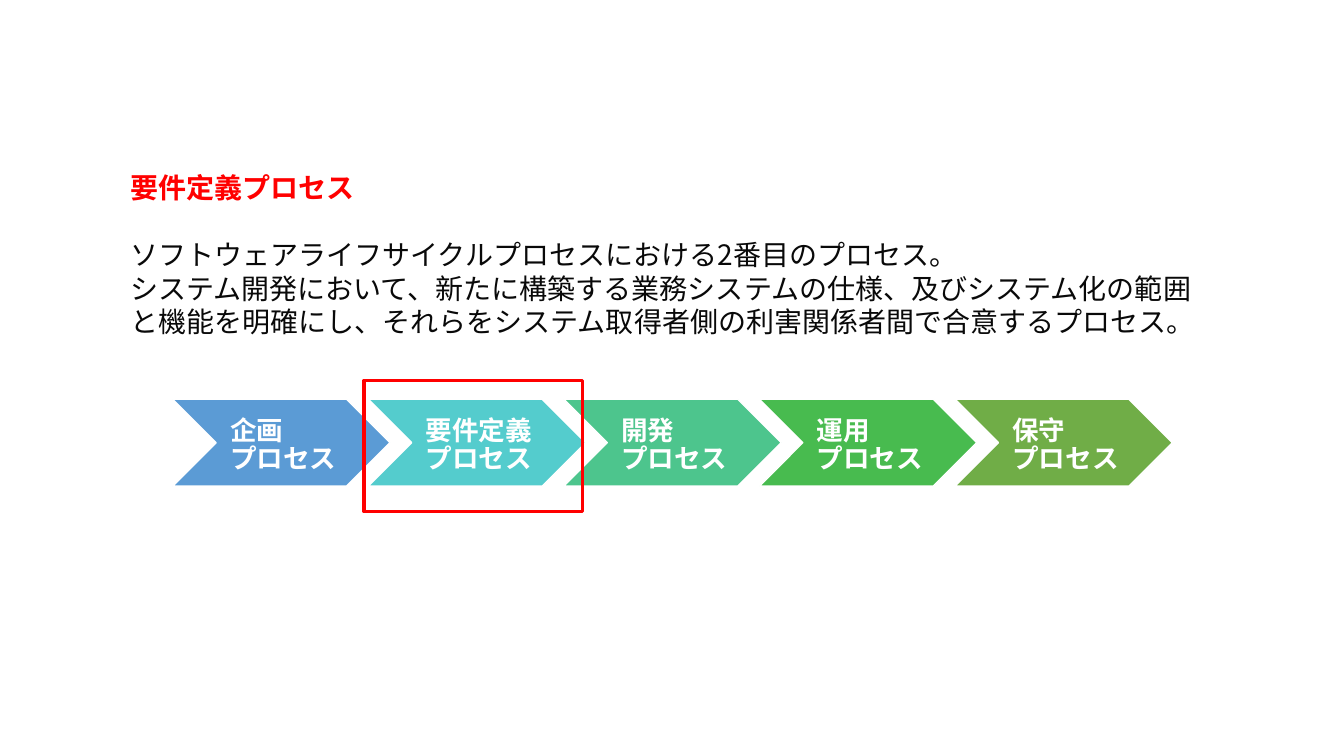
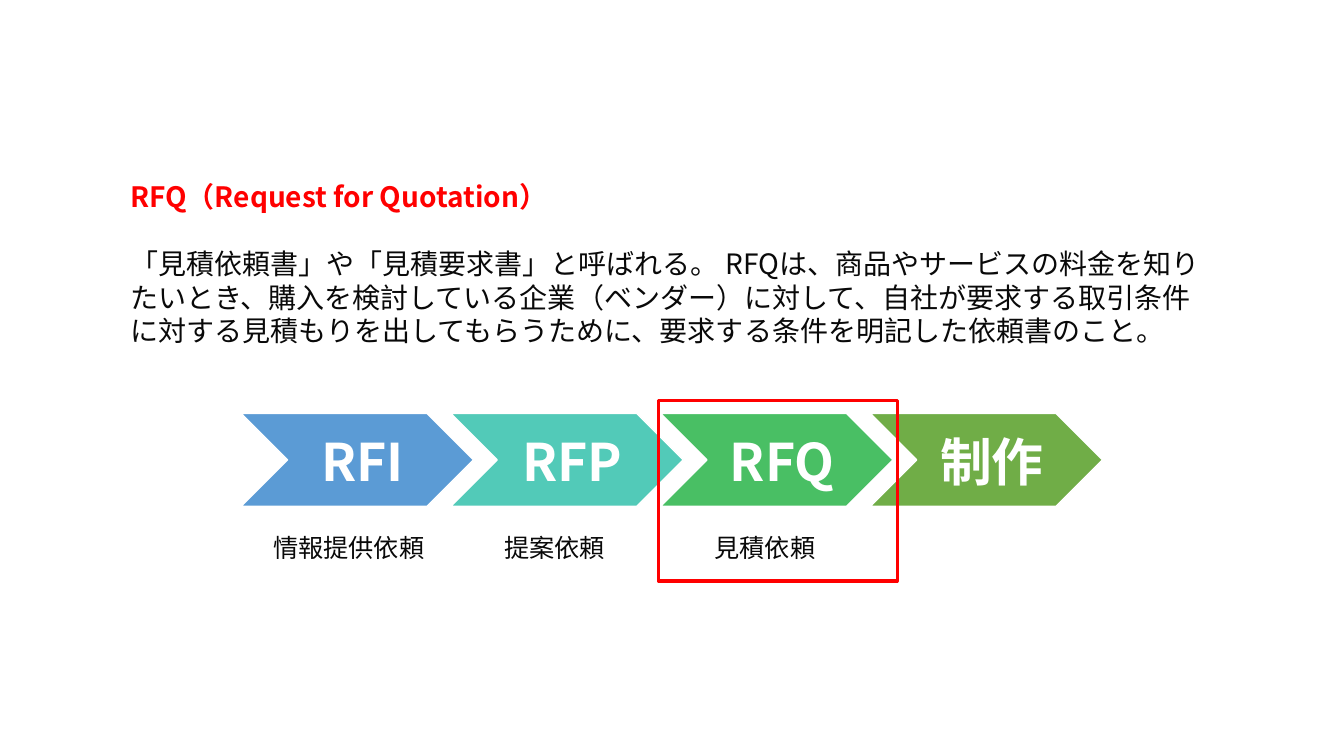
from lxml.etree import SubElement
from pptx import Presentation
from pptx.dml.color import RGBColor
from pptx.enum.shapes import MSO_SHAPE
from pptx.enum.text import MSO_ANCHOR, MSO_AUTO_SIZE, PP_ALIGN
from pptx.oxml.ns import qn
from pptx.util import Pt


def rgb(color):
    return RGBColor.from_string(color)


def write(tf, text, size, color, bold=False, align=PP_ALIGN.LEFT, leading=1.2,
          anchor=MSO_ANCHOR.TOP, insets=(7.2, 3.6, 7.2, 3.6)):
    tf.word_wrap = True
    tf.auto_size = MSO_AUTO_SIZE.NONE
    tf.vertical_anchor = anchor
    tf.margin_left, tf.margin_top, tf.margin_right, tf.margin_bottom = map(Pt, insets)
    for i, line in enumerate(text.split("\n")):
        p = tf.add_paragraph() if i else tf.paragraphs[0]
        pPr = p._p.get_or_add_pPr()
        pPr.set("marL", "0")
        pPr.set("indent", "0")
        SubElement(pPr, qn("a:buNone"))
        p.alignment = align
        p.line_spacing = Pt(size * leading)
        p.space_before = p.space_after = Pt(0)
        r = p.add_run()
        r.text = line
        r.font.size = Pt(size)
        r.font.bold = bold
        r.font.color.rgb = rgb(color)
        r.font.name = Deck.FONT
        SubElement(r._r.get_or_add_rPr(), qn("a:ea")).set("typeface", Deck.FONT)


class Deck:
    FONT = "Noto Sans CJK JP"
    RED, INK, WHITE = "FF0000", "090909", "FFFFFF"
    LEFT, WIDTH = 85.7, 788.4

    def __init__(self):
        self.prs = Presentation()
        self.prs.slide_width, self.prs.slide_height = Pt(960), Pt(540)

    def slide(self, top, title, body):
        self.s = self.prs.slides.add_slide(self.prs.slide_layouts[1])
        heading, content = self.s.placeholders
        self.place(heading, self.LEFT, top, self.WIDTH, 32)
        write(heading.text_frame, title, 20, self.RED, bold=True)
        self.place(content, self.LEFT, top + 48, self.WIDTH, 80)
        write(content.text_frame, body, 20, self.INK)

    def place(self, sp, *box):
        sp.left, sp.top, sp.width, sp.height = map(Pt, box)

    def shape(self, kind, box, line, weight, fill=None):
        sp = self.s.shapes.add_shape(kind, *map(Pt, box))
        sp.shadow.inherit = False
        if fill:
            sp.fill.solid()
            sp.fill.fore_color.rgb = rgb(fill)
        else:
            sp.fill.background()
        sp.line.color.rgb = rgb(line)
        sp.line.width = Pt(weight)
        return sp

    def chevrons(self, steps, left, top, width, height, pitch, **fmt):
        for i, (label, fill) in enumerate(steps):
            box = left + i * pitch, top, width, height
            sp = self.shape(MSO_SHAPE.CHEVRON, box, self.WHITE, 1, fill)
            write(sp.text_frame, label, color=self.WHITE, bold=True,
                  leading=1.08, anchor=MSO_ANCHOR.MIDDLE, **fmt)

    def caption(self, text, left, top, width):
        sp = self.s.shapes.add_textbox(*map(Pt, (left, top, width, 29)))
        write(sp.text_frame, text, 18, self.INK)

    def frame(self, *box):
        self.shape(MSO_SHAPE.FLOWCHART_PROCESS, box, self.RED, 2.25)


def main():
    deck = Deck()

    deck.slide(
        118, "要件定義プロセス",
        "ソフトウェアライフサイクルプロセスにおける2番目のプロセス。\n"
        "システム開発において、新たに構築する業務システムの仕様、及びシステム化の範囲"
        "と機能を明確にし、それらをシステム取得者側の利害関係者間で合意するプロセス。")
    processes = [("企画\nプロセス", "5B9BD5"), ("要件定義\nプロセス", "54CCCD"),
                 ("開発\nプロセス", "4DC58D"), ("運用\nプロセス", "48BB4F"),
                 ("保守\nプロセス", "70AD47")]
    deck.chevrons(processes, 123.4, 285.2, 155.2, 62, 139.7,
                  size=19, insets=(10, 4, 0, 0))
    deck.frame(260, 271.8, 156.4, 93.6)

    deck.slide(
        124.6, "RFQ（Request for Quotation）",
        "「見積依頼書」や「見積要求書」と呼ばれる。 RFQは、商品やサービスの料金を知り"
        "たいとき、購入を検討している企業（ベンダー）に対して、自社が要求する取引条件"
        "に対する見積もりを出してもらうために、要求する条件を明記した依頼書のこと。")
    requests = [("RFI", "5B9BD5"), ("RFP", "52CAB8"),
                ("RFQ", "49BF64"), ("制作", "70AD47")]
    deck.chevrons(requests, 172.2, 295.3, 166, 66.4, 149.8, size=37,
                  align=PP_ALIGN.CENTER, insets=(11.5, 6, 3.6, 0))
    for text, left, width in [("情報提供依頼", 188, 139), ("提案依頼", 353, 104),
                              ("見積依頼", 503.3, 104)]:
        deck.caption(text, left, 376.6, width)
    deck.frame(470.2, 286, 170.6, 129)

    deck.prs.save("out.pptx")


if __name__ == "__main__":
    main()
